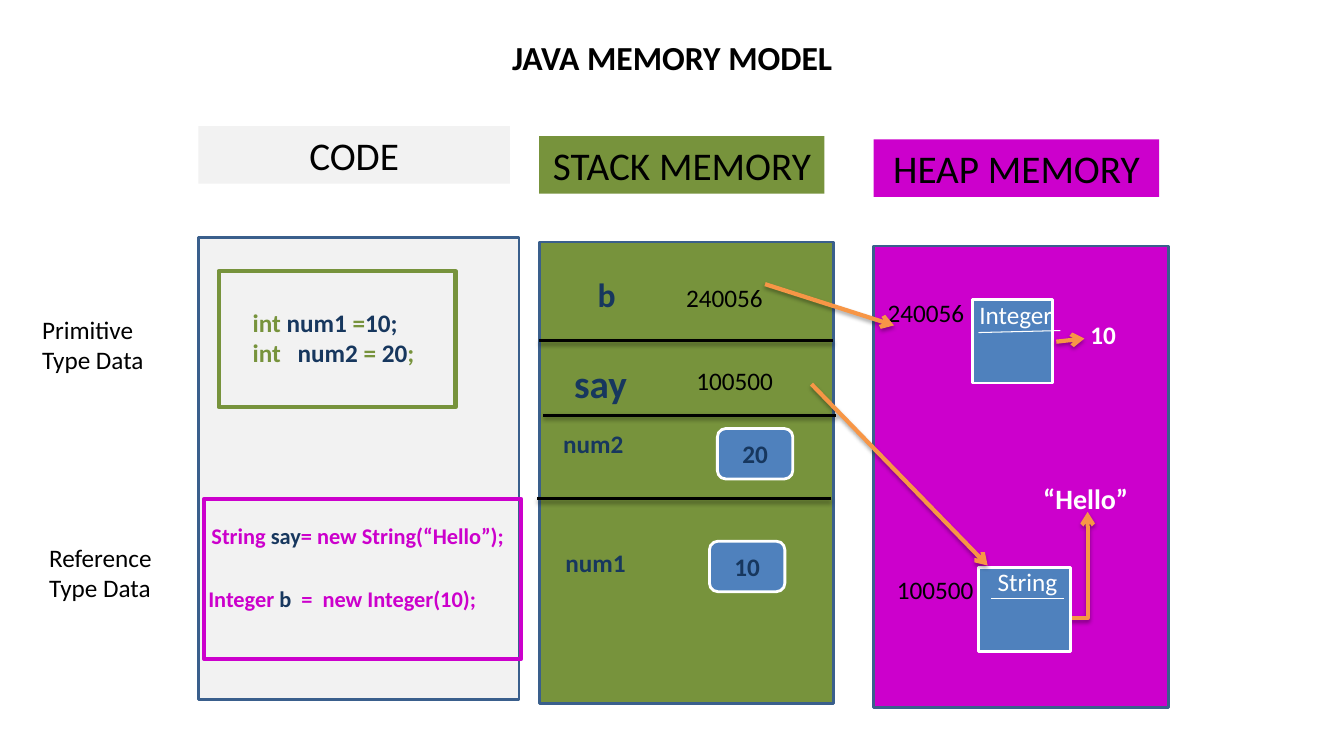
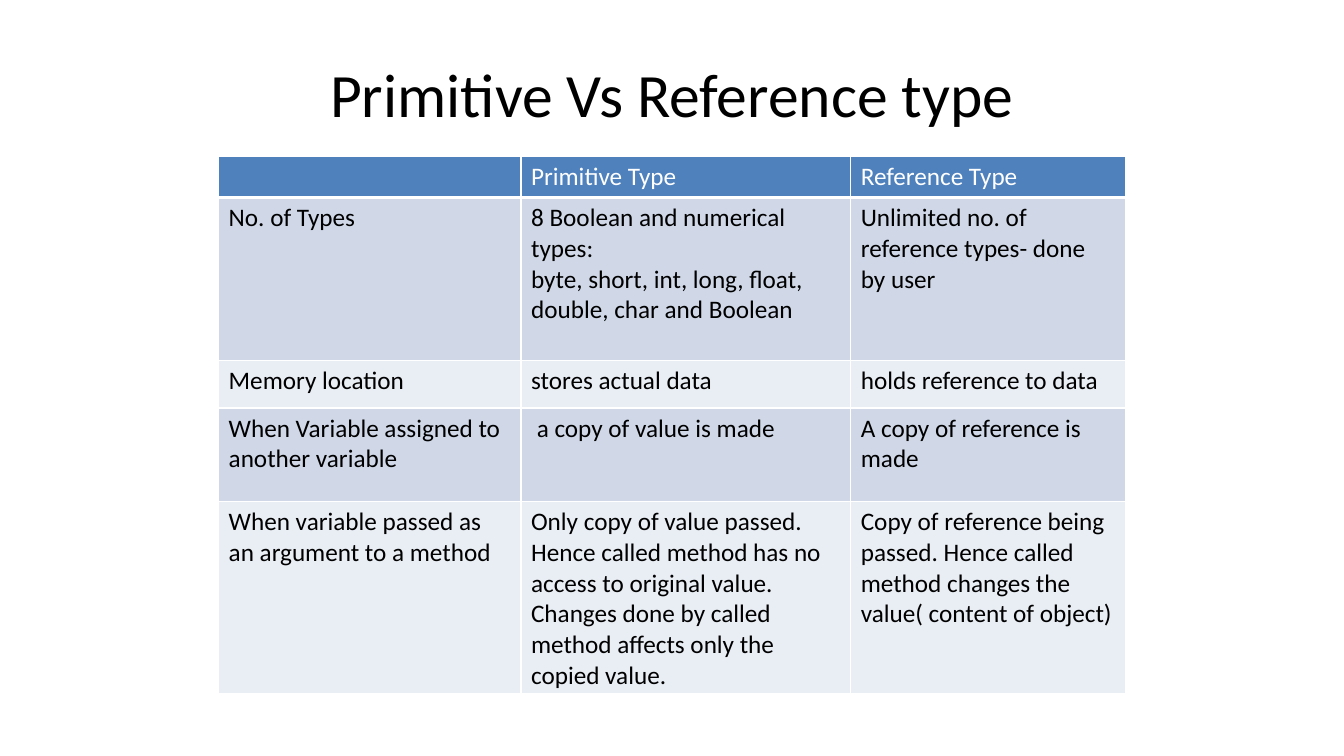
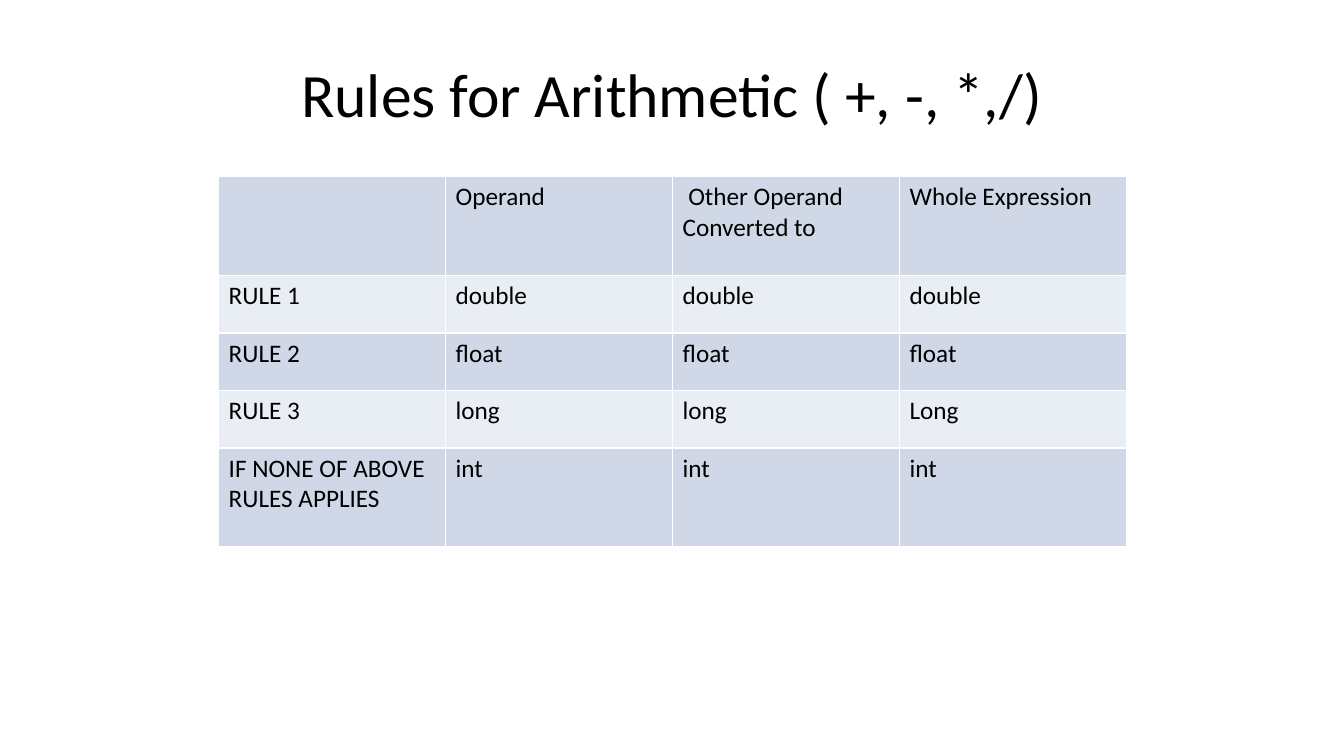
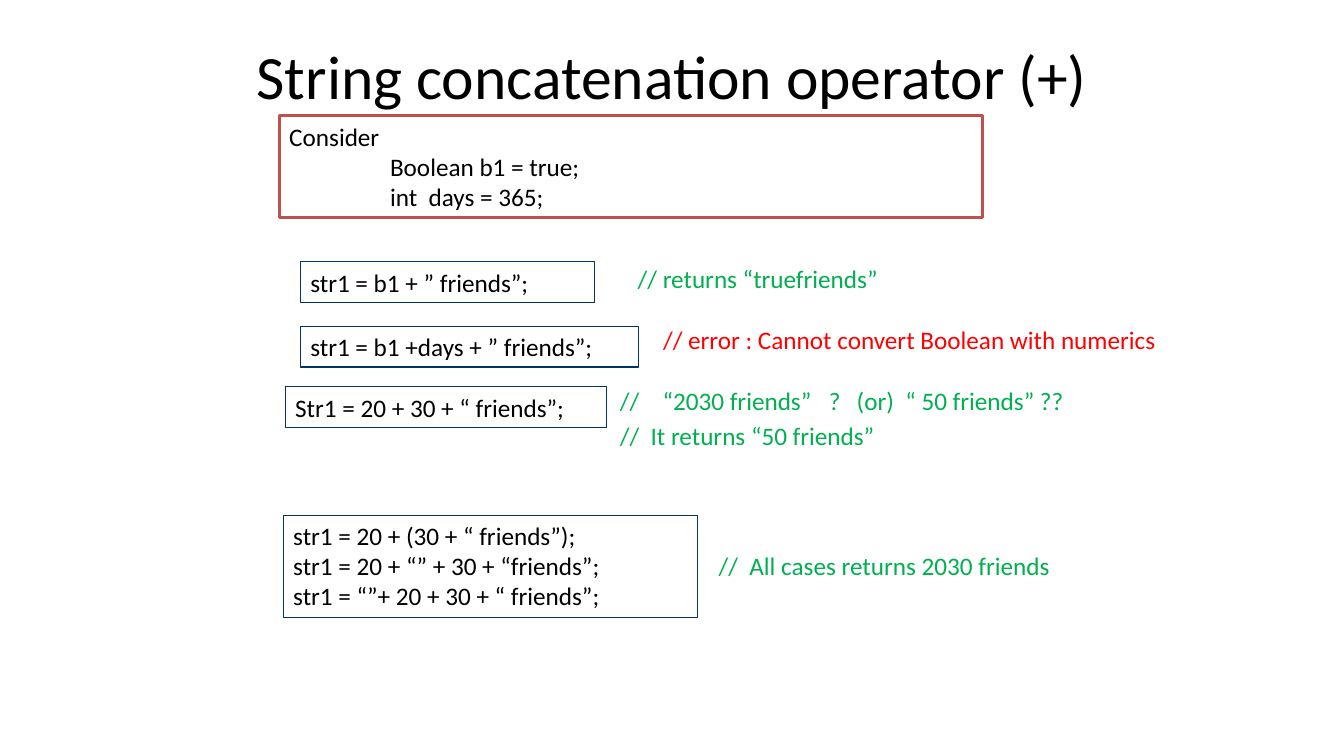
import lxml.etree
import pptx
import pptx.dml.color
import pptx.enum.shapes
import pptx.enum.text
import pptx.oxml.ns
import pptx.util

Cm = pptx.util.Cm
Pt = pptx.util.Pt
qn = pptx.oxml.ns.qn
SHAPE = pptx.enum.shapes.MSO_SHAPE
CONNECTOR = pptx.enum.shapes.MSO_CONNECTOR
ALIGN = pptx.enum.text.PP_ALIGN
ANCHOR = pptx.enum.text.MSO_ANCHOR

FONT = "Calibri"
COLORS = {
    "black": "000000", "white": "FFFFFF", "gray": "F2F2F2", "olive": "77933C",
    "magenta": "CC00CC", "blue": "4F81BD", "outline": "3A5F8C", "navy": "17375E",
    "orange": "F79646", "band_dark": "D0D8E8", "band_light": "E9EDF4",
    "brick": "C0504D", "code_line": "003366", "green": "00B050", "red": "FF0000",
}
TITLE_BOX = (1.7, 0.76, 30.48, 3.18)
COLUMN_HEIGHT = 11.63
CODE_ORIGIN = (5, 5.99)
STACK_ORIGIN = (13.59, 6.1)
HEAP_ORIGIN = (22.02, 6.2)


def rgb(name):
    return pptx.dml.color.RGBColor.from_string(COLORS[name])


def child(parent, tag, **attributes):
    element = lxml.etree.SubElement(parent, qn(tag))
    for name, value in attributes.items():
        element.set(name, str(value))
    return element


def shift(origin, point):
    return origin[0] + point[0], origin[1] + point[1]


def write_text(frame, paragraphs, size=18, color="black", bold=False,
               align=ALIGN.LEFT, anchor=ANCHOR.TOP, wrap=True, tabs=()):
    """Fill a frame; a paragraph is a string or a list of (text, colour) runs."""
    frame.word_wrap = wrap
    frame.vertical_anchor = anchor
    if isinstance(paragraphs, str):
        paragraphs = [paragraphs]
    for index, content in enumerate(paragraphs):
        paragraph = frame.add_paragraph() if index else frame.paragraphs[0]
        paragraph.alignment = align
        if tabs:
            tab_list = child(paragraph._p.get_or_add_pPr(), "a:tabLst")
            for position in tabs:
                child(tab_list, "a:tab", pos=int(Cm(position)), algn="l")
        runs = [(content, color)] if isinstance(content, str) else content
        for text, run_color in runs:
            run = paragraph.add_run()
            run.text = text
            run.font.name = FONT
            run.font.size = Pt(size)
            run.font.bold = bold
            run.font.color.rgb = rgb(run_color)


def add_text(slide, box, paragraphs, **text_format):
    shape = slide.shapes.add_textbox(*map(Cm, box))
    write_text(shape.text_frame, paragraphs, **text_format)


def add_box(slide, box, fill=None, line=None, width=2, kind=SHAPE.RECTANGLE,
            text=None, **text_format):
    shape = slide.shapes.add_shape(kind, *map(Cm, box))
    shape.shadow.inherit = False
    if fill:
        shape.fill.solid()
        shape.fill.fore_color.rgb = rgb(fill)
    else:
        shape.fill.background()
    if line:
        shape.line.color.rgb = rgb(line)
        shape.line.width = Pt(width)
    else:
        shape.line.fill.background()
    if text:
        write_text(shape.text_frame, text, **text_format)


def add_line(slide, begin, end, color, width, arrow=False, shadow=0,
             kind=CONNECTOR.STRAIGHT):
    """Draw a line; shadow is its opacity in percent."""
    line = slide.shapes.add_connector(kind, *map(Cm, (*begin, *end)))
    line.line.color.rgb = rgb(color)
    line.line.width = Pt(width)
    if arrow:
        child(line.line._get_or_add_ln(), "a:tailEnd", type="arrow")
    effects = child(line._element.spPr, "a:effectLst")
    if shadow:
        outer = child(effects, "a:outerShdw", blurRad=int(Pt(3.1)),
                      dist=int(Pt(1.8)), dir=5400000, rotWithShape=0)
        black = child(outer, "a:srgbClr", val=COLORS["black"])
        child(black, "a:alpha", val=shadow * 1000)
    return line


def add_arrow(slide, begin, end, **options):
    return add_line(slide, begin, end, "orange", 3, arrow=True, shadow=35, **options)


def add_elbow_arrow(slide, begin, end):
    """Arrow that runs right from begin, then up to end: a quarter-turned elbow."""
    center_x, center_y = (begin[0] + end[0]) / 2, (begin[1] + end[1]) / 2
    half_run, half_rise = (end[0] - begin[0]) / 2, (begin[1] - end[1]) / 2
    arrow = add_arrow(slide, (center_x + half_rise, center_y + half_run),
                      (center_x - half_rise, center_y - half_run),
                      kind=CONNECTOR.ELBOW)
    properties = arrow._element.spPr
    properties.find(qn("a:xfrm")).set("rot", "5400000")
    adjustments = properties.find(qn("a:prstGeom")).find(qn("a:avLst"))
    child(adjustments, "a:gd", name="adj1", fmla="val 600")


def add_title(slide, text, box=TITLE_BOX, size=44, bold=False):
    add_text(slide, box, text, size=size, bold=bold,
             align=ALIGN.CENTER, anchor=ANCHOR.MIDDLE)


def add_column(slide, origin, width, header_top, header_width, name, color):
    add_box(slide, (*origin, width, COLUMN_HEIGHT), color, "outline")
    add_box(slide, (origin[0], header_top, header_width, 1.45), color,
            text=name, size=28, align=ALIGN.CENTER)


def add_code_region(slide, origin):
    add_column(slide, origin, 8.08, 3.18, 7.85, "CODE", "gray")
    add_text(slide, (*shift(origin, (1.12, 1.63)), 5.28, 1.8), [
        [("int ", "olive"), ("num1", "navy"), (" =", "olive"), ("10;", "navy")],
        [("int\t", "olive"), ("num2", "navy"), (" = ", "olive"), ("20", "navy"),
         (";", "olive")],
    ], bold=True, tabs=[1.13])
    statements = [
        ((0.08, 7.04), [("String ", "magenta"), ("say", "navy"),
                        ("= new String(“Hello”);", "magenta")]),
        ((0, 8.62), [("Integer ", "magenta"), ("b", "navy"),
                     ("  =  new Integer(10);", "magenta")]),
    ]
    for point, runs in statements:
        add_text(slide, (*shift(origin, point), 9.5, 0.94), [runs], size=16, bold=True)
    add_box(slide, (*shift(origin, (0.51, 0.84)), 5.97, 3.43), line="olive", width=3)
    add_box(slide, (*shift(origin, (0.15, 6.58)), 7.98, 4.04), line="magenta", width=3)


def add_stack_region(slide, origin):
    add_column(slide, origin, 7.42, 3.43, 7.19, "STACK MEMORY", "olive")
    for name, size, name_at, address, address_at in [
        ("b", 24, (1.22, 0.68), "240056", (3.45, 0.89)),
        ("say", 28, (0.63, 2.82), "100500", (3.71, 2.97)),
    ]:
        add_text(slide, (*shift(origin, name_at), 3, 1.4), name,
                 size=size, color="navy", bold=True)
        add_text(slide, (*shift(origin, address_at), 2.44, 1.02), address)
    for name, name_at, value, value_at in [
        ("num2", (0.35, 4.57), "20", (4.49, 4.7)),
        ("num1", (0.41, 7.57), "10", (4.29, 7.54)),
    ]:
        add_text(slide, (*shift(origin, name_at), 2.54, 1.02), name,
                 color="navy", bold=True)
        add_box(slide, (*shift(origin, value_at), 1.9, 1.27), "blue", "white",
                kind=SHAPE.ROUNDED_RECTANGLE, text=value, color="navy", bold=True,
                align=ALIGN.CENTER, anchor=ANCHOR.MIDDLE)
    for point in [(0, 2.49), (0.1, 4.36), (-0.05, 6.47)]:
        left, top = shift(origin, point)
        add_line(slide, (left, top), (left + 7.39, top), "black", 2, shadow=38)


def add_heap_object(slide, origin, width, label, label_at, rule):
    add_box(slide, (*origin, width, 2.11), "blue", "white",
            kind=SHAPE.FLOWCHART_PROCESS)
    add_text(slide, (*shift(origin, label_at), 2.54, 1.02), label, color="white")
    add_line(slide, *(shift(origin, point) for point in rule), "white", 0.75)


def add_heap_region(slide, origin):
    add_column(slide, origin, 7.42, 3.51, 7.19, "HEAP MEMORY", "magenta")
    add_heap_object(slide, shift(origin, (2.49, 1.34)), 2.01, "Integer",
                    (-0.08, -0.12), [(0.15, 0.84), (2.21, 0.79)])
    add_arrow(slide, shift(origin, (4.6, 2.41)), shift(origin, (5.31, 2.33)))
    add_elbow_arrow(slide, shift(origin, (4.14, 9.39)), shift(origin, (5.39, 6.7)))
    add_heap_object(slide, shift(origin, (2.64, 8.1)), 2.31, "String",
                    (0.23, -0.15), [(0.31, 0.79), (2.16, 0.79)])
    for address, point in [("240056", (0.1, 1.17)), ("100500", (0.33, 8.15))]:
        add_text(slide, (*shift(origin, point), 2.44, 1.02), address)
    for value, point, size in [("10", (5.21, 1.72), 18), ("“Hello”", (4.02, 5.81), 20)]:
        add_text(slide, (*shift(origin, point), 3.18, 1.1), value,
                 size=size, color="white", bold=True)


def build_memory_slide(slide):
    add_title(slide, "JAVA MEMORY MODEL", (5.51, 0.76, 22.86, 1.35), 24, True)
    add_code_region(slide, CODE_ORIGIN)
    add_stack_region(slide, STACK_ORIGIN)
    add_heap_region(slide, HEAP_ORIGIN)
    add_arrow(slide, (20.45, 9.68), (24.89, 14.25))
    add_arrow(slide, (19.28, 7.16), (22.53, 8.2))
    for kind, left, top in [("Primitive", 0.81, 7.8), ("Reference", 0.99, 13.54)]:
        add_text(slide, (left, top, 3.1, 1.8), [kind, "Type Data"], wrap=False)


def style_cell(cell, fill, bottom_width):
    cell.fill.solid()
    cell.fill.fore_color.rgb = rgb(fill)
    properties = cell._tc.get_or_add_tcPr()
    borders = [("a:lnL", 1), ("a:lnR", 1), ("a:lnT", 1), ("a:lnB", bottom_width)]
    for index, (tag, width) in enumerate(borders):
        border = child(properties, tag, w=int(Pt(width)))
        child(child(border, "a:solidFill"), "a:srgbClr", val=COLORS["white"])
        properties.insert(index, border)


def build_table_slide(slide, title, top, widths, heights, rows, header=False):
    add_title(slide, title)
    table = slide.shapes.add_table(len(rows), len(widths), Cm(5.51), Cm(top),
                                   Cm(sum(widths)), Cm(sum(heights))).table
    table.first_row = table.horz_banding = False
    for column, width in zip(table.columns, widths):
        column.width = Cm(width)
    for row, height in zip(table.rows, heights):
        row.height = Cm(height)
    bands = ["band_dark", "band_light"]
    for row_index, texts in enumerate(rows):
        is_header = header and row_index == 0
        fill = "blue" if is_header else bands[(row_index - header) % 2]
        for column_index, text in enumerate(texts):
            cell = table.cell(row_index, column_index)
            style_cell(cell, fill, 3 if is_header else 1)
            if text:
                write_text(cell.text_frame, text,
                           color="white" if is_header else "black")


def build_concatenation_slide(slide):
    add_title(slide, "String concatenation operator (+)", (5.51, 0.3, 22.86, 3.18))
    add_box(slide, (7.04, 2.92, 17.73, 2.57), "white", "brick", tabs=[2.54],
            text=["Consider", "\tBoolean b1 = true;", "\tint  days = 365;"])
    for box, code in [
        ((7.57, 6.6, 7.42, 1.02), "str1 = b1 + ” friends”;"),
        ((7.57, 8.23, 8.53, 1.02), "str1 = b1 +days + ” friends”;"),
        ((7.19, 9.75, 8.1, 1.02), "Str1 = 20 + 30 + “ friends”;"),
        ((7.14, 12.98, 10.44, 2.57), ["str1 = 20 + (30 + “ friends”);",
                                      "str1 = 20 + “” + 30 + “friends”;",
                                      "str1 = “”+ 20 + 30 + “ friends”;"]),
    ]:
        add_box(slide, box, line="code_line", width=0.75, text=code)
    for left, top, color, comment in [
        (15.82, 6.5, "green", "// returns “truefriends”"),
        (16.46, 8.05, "red", "// error : Cannot convert Boolean with numerics"),
        (15.37, 9.58, "green", "//\t“2030 friends”\t?\t(or)  “ 50 friends” ??"),
        (15.37, 10.46, "green", "//  It returns “50 friends”"),
        (17.86, 13.74, "green", "//  All cases returns 2030 friends"),
    ]:
        add_text(slide, (left, top, 13.82, 1.02), comment, color=color,
                 tabs=[1.08, 5.27, 5.97] if "\t" in comment else ())


def main():
    presentation = pptx.Presentation()
    presentation.slide_width = Cm(33.87)
    presentation.slide_height = Cm(19.05)

    def new_slide():
        return presentation.slides.add_slide(presentation.slide_layouts[6])

    build_memory_slide(new_slide())
    build_table_slide(
        new_slide(), "Primitive Vs Reference type", 3.94,
        [7.62, 8.31, 6.93], [1.04, 4.11, 1.19, 2.36, 4.5], [
            ["", "Primitive Type", "Reference Type"],
            ["No. of Types",
             ["8 Boolean and numerical types:",
              "byte, short, int, long, float, double, char and Boolean"],
             "Unlimited no. of reference types- done by user"],
            ["Memory location", "stores actual data", "holds reference to data"],
            ["When Variable assigned to another variable",
             " a copy of value is made", "A copy of reference is made"],
            ["When variable passed as an argument to a method",
             ["Only copy of value passed. Hence called method has no access to "
              "original value.",
              "Changes done by called method affects only the copied value."],
             "Copy of reference being passed. Hence called method changes the "
             "value( content of object)"],
        ], header=True)
    build_table_slide(
        new_slide(), "Rules for Arithmetic ( +, -, *,/)", 4.45,
        [5.72] * 4, [2.49, 1.45, 1.45, 1.45, 2.49], [
            ["", "Operand", " Other Operand Converted to", "Whole Expression"],
            ["RULE 1", "double", "double", "double"],
            ["RULE 2", "float", "float", "float"],
            ["RULE 3", "long", "long", "Long"],
            ["IF NONE OF ABOVE RULES APPLIES", "int", "int", "int"],
        ])
    build_concatenation_slide(new_slide())
    presentation.save("out.pptx")


if __name__ == "__main__":
    main()
